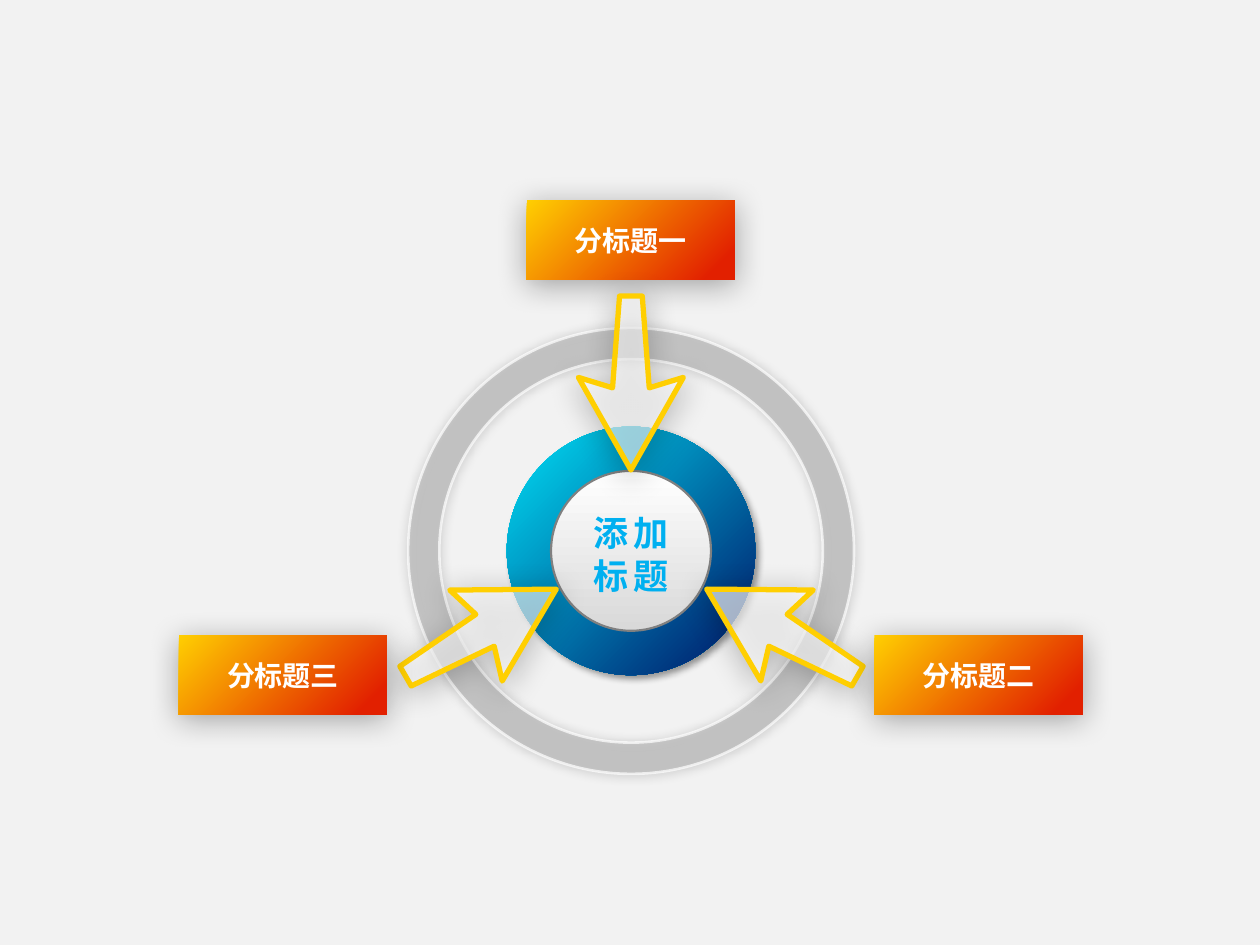
import pptx
import pptx.util
import pptx.dml.color
import pptx.enum.shapes
import pptx.enum.text
import pptx.oxml
import pptx.oxml.ns

Pt = pptx.util.Pt
RGB = pptx.dml.color.RGBColor
KIND = pptx.enum.shapes.MSO_SHAPE
ALIGN = pptx.enum.text.PP_ALIGN
ANCHOR = pptx.enum.text.MSO_ANCHOR
NS = pptx.oxml.ns.nsdecls("a")
qn = pptx.oxml.ns.qn

FONT = "Noto Sans CJK SC"
PAGE = RGB(0xF2, 0xF2, 0xF2)
WHITE = RGB(0xFF, 0xFF, 0xFF)
SILVER = RGB(0xD9, 0xD9, 0xD9)
GREY = RGB(0xA6, 0xA6, 0xA6)
EDGE = RGB(0x80, 0x80, 0x80)
GOLD = RGB(0xFF, 0xCF, 0x01)
RED = RGB(0xE2, 0x20, 0x00)
CYAN = RGB(0x00, 0xDF, 0xF6)
NAVY = RGB(0x00, 0x27, 0x74)
SKY = RGB(0x00, 0xB0, 0xF0)

TITLE = ["添加", "标题"]
LABELS = [("分标题一", 301, 114.5), ("分标题二", 499.7, 363), ("分标题三", 102.2, 363)]
ARROWS = [(330.5, 169.2, 180, 60), (244.8, 311.8, 60, 60), (416.9, 311.8, 300, 65)]
ARROW = [(30, 0), (60, 53), (40.5, 47), (36.5, 99.4), (23.5, 99.4), (19.5, 47), (0, 53)]
MID = (360.6, 314.8)
SOFT = (33, 17.8, 3, 87)


def blend(fill, stops, angle):
    fill.gradient()
    fill.gradient_angle = 360 - angle
    for stop, (place, tone) in zip(fill.gradient_stops, stops):
        stop.position = place
        stop.color.rgb = tone


def fade(fill, level):
    tone = fill._xPr.find(qn("a:solidFill"))[0]
    tone.append(pptx.oxml.parse_xml(f'<a:alpha {NS} val="{level * 1000}"/>'))


def paint(fill, tone, level=100):
    fill.solid()
    fill.fore_color.rgb = tone
    if level < 100:
        fade(fill, level)


def edge(shape, tone, width, level=100):
    shape.line.width = Pt(width)
    paint(shape.line.fill, tone, level)


def shade(shape, level, blur, dist, angle):
    shape.shadow.inherit = False
    glow = shape._element.spPr.find(qn("a:effectLst"))
    glow.append(pptx.oxml.parse_xml(
        f'<a:outerShdw {NS} blurRad="{Pt(blur)}" dist="{Pt(dist)}" '
        f'dir="{angle * 60000}" algn="ctr" rotWithShape="0"><a:srgbClr val="000000">'
        f'<a:alpha val="{level * 1000}"/></a:srgbClr></a:outerShdw>'))


def disc(kind, size):
    x, y = (c - size / 2 for c in MID)
    return slide.shapes.add_shape(kind, Pt(x), Pt(y), Pt(size), Pt(size))


def style(part, size):
    part.alignment = ALIGN.CENTER
    part.font.name = FONT
    part.font.size = Pt(size)
    part.font.bold = True
    for run in part.runs:
        run.font.name = FONT
        run.font.size = Pt(size)
        run.font.bold = True
        east = pptx.oxml.parse_xml(f'<a:ea {NS} typeface="{FONT}"/>')
        run._r.rPr.find(qn("a:latin")).addnext(east)


def label(text, x, y):
    box = slide.shapes.add_shape(KIND.RECTANGLE, Pt(x), Pt(y), Pt(119), Pt(45.4))
    blend(box.fill, [(0, GOLD), (0.9, RED)], 45)
    box.line.fill.background()
    shade(box, *SOFT)
    frame = box.text_frame
    frame.text = text
    frame.vertical_anchor = ANCHOR.MIDDLE
    style(frame.paragraphs[0], 16)
    frame.paragraphs[0].runs[0].font.color.rgb = WHITE


def arrow(x, y, turn, level):
    first, *rest = [(Pt(a), Pt(b)) for a, b in ARROW]
    pen = slide.shapes.build_freeform(*first)
    pen.add_line_segments(rest, close=True)
    shape = pen.convert_to_shape(Pt(x), Pt(y))
    shape.rotation = turn
    paint(shape.fill, WHITE, level)
    edge(shape, GOLD, 3)
    shade(shape, *SOFT)


def head():
    box = slide.shapes.title
    slide.shapes._spTree.append(box._element)
    box.left, box.top, box.width, box.height = Pt(314), Pt(288.5), Pt(93), Pt(55.4)
    frame = box.text_frame
    frame.text = "\n".join(TITLE)
    frame.word_wrap = True
    frame.auto_size = pptx.enum.text.MSO_AUTO_SIZE.NONE
    frame.vertical_anchor = ANCHOR.MIDDLE
    for part in frame.paragraphs:
        part.line_spacing = Pt(24.5)
        style(part, 20)
        run = part.runs[0]
        blend(run.font.fill, [(0.1, SKY), (0.75, NAVY)], 90)
        run._r.rPr.set("spc", "300")
        run._r.rPr.insert(0, pptx.oxml.parse_xml(
            f'<a:ln {NS} w="12700"><a:solidFill><a:srgbClr val="F9FCFC"/>'
            '</a:solidFill></a:ln>'))


deck = pptx.Presentation()
deck.slide_width, deck.slide_height = Pt(720), Pt(540)
slide = deck.slides.add_slide(deck.slide_layouts[5])
paint(slide.background.fill, PAGE)

label(*LABELS[0])

ring = disc(KIND.DONUT, 254.8)
ring.adjustments[0] = 0.07
paint(ring.fill, GREY, 40)
edge(ring, WHITE, 1.5, 70)
shade(ring, 30, 6, 0, 45)

core = disc(KIND.OVAL, 142)
blend(core.fill, [(0, CYAN), (0.9, NAVY)], 45)
core.line.fill.background()
shade(core, 40, 4, 3, 45)

dial = disc(KIND.OVAL, 91.4)
blend(dial.fill, [(0, WHITE), (1, SILVER)], 90)
edge(dial, EDGE, 1.25)
dial.shadow.inherit = False

head()
for item in ARROWS:
    arrow(*item)
for item in LABELS[1:]:
    label(*item)

deck.save("out.pptx")
